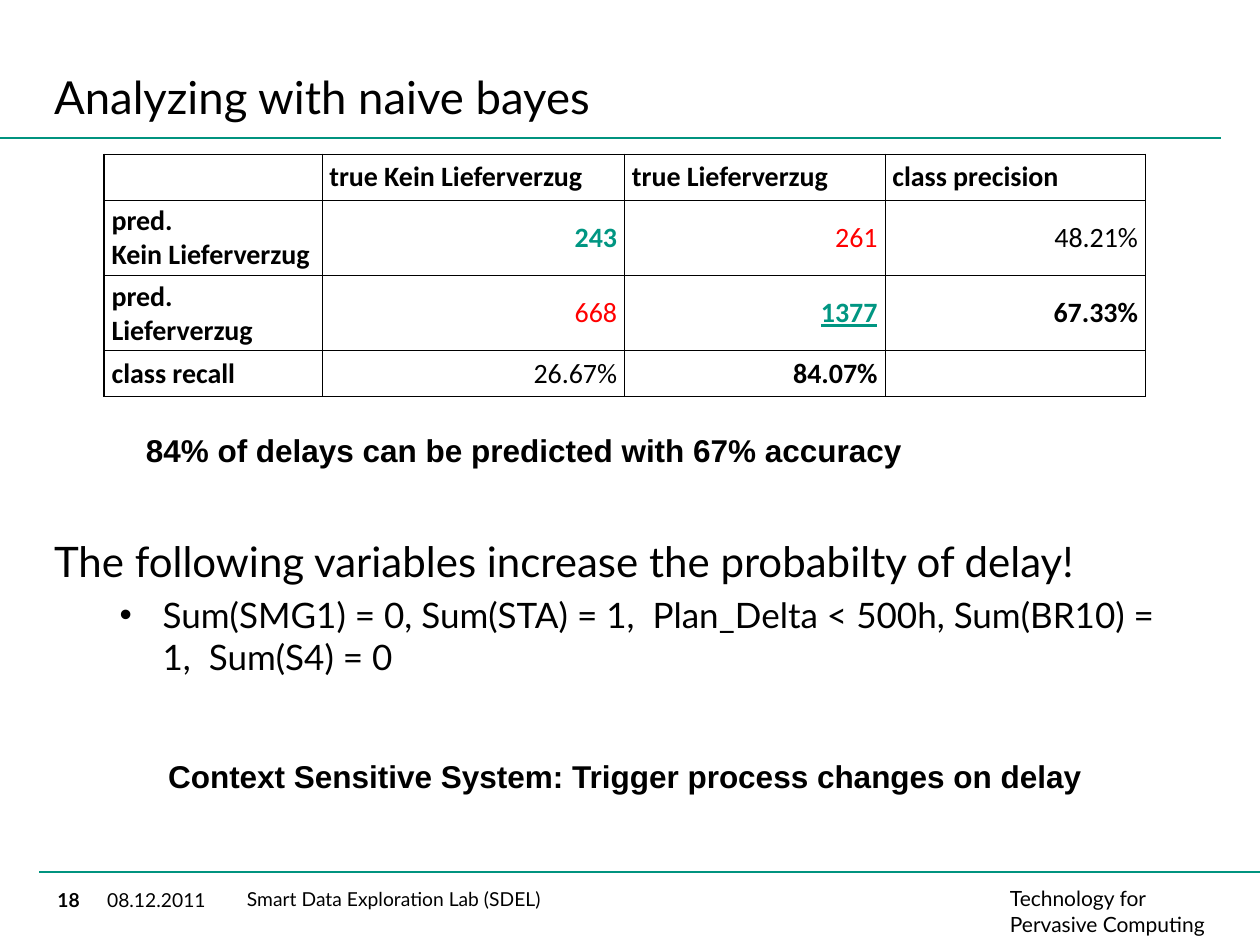
from lxml import etree
from pptx import Presentation
from pptx import util as u
from pptx.dml.color import RGBColor
from pptx.enum import shapes, text
from pptx.oxml.ns import qn

GREEN = "00937F"
HIT, MISS = "009682", "FF0000"


def rgb(value):
    return RGBColor.from_string(value)


def write(tf, words, new=False, size=11, font="Lato", color="000000", bold=False,
          underline=False, align=text.PP_ALIGN.LEFT, anchor=text.MSO_ANCHOR.TOP,
          insets=(0, 0, 0, 0), wrap=True, before=0):
    """Put words in the first paragraph, or in a new one, with their format."""
    tf.word_wrap = wrap
    tf.vertical_anchor = anchor
    tf.margin_left, tf.margin_top, tf.margin_right, tf.margin_bottom = map(u.Cm, insets)
    p = tf.add_paragraph() if new else tf.paragraphs[0]
    p.text = words
    p.alignment = align
    p.space_before = u.Pt(before)
    for r in p.runs:
        r.font.size, r.font.name = u.Pt(size), font
        r.font.bold, r.font.underline = bold, underline
        r.font.color.rgb = rgb(color)
    return p


prs = Presentation()
prs.slide_width, prs.slide_height = u.Cm(25.4), u.Cm(19.05)
s = prs.slides.add_slide(prs.slide_layouts[6])

# Title, footer and statements
pad = (0.25, 0.13, 0.25, 0.13)
claim = dict(size=18, font="Arial", bold=True, insets=pad, wrap=False)
for box, words, fmt in (
    ((1.09, 0.95, 19.2, 1.55), "Analyzing with naive bayes",
     dict(size=26, anchor=text.MSO_ANCHOR.BOTTOM)),
    ((1.16, 17.91, 0.91, 0.61), "18", dict(bold=True)),
    ((2.16, 17.91, 2.39, 0.99), "08.12.2011", {}),
    ((4.73, 17.75, 11.81, 0.99), "Smart Data Exploration Lab (SDEL)", dict(insets=pad)),
    ((20.36, 17.86, 4.04, 1.07), "Technology for Pervasive Computing", dict(size=12)),
    ((2.69, 8.55, 15.85, 1.02), "84% of delays can be predicted with 67% accuracy", claim),
    ((3.05, 15.14, 19.1, 1.02), "Context Sensitive System: Trigger process changes on delay",
     dict(claim, align=text.PP_ALIGN.CENTER)),
):
    sp = s.shapes.add_textbox(*map(u.Cm, box))
    write(sp.text_frame, words, **fmt)

# Rules below the title and above the footer
for x1, x2, y in ((0, 24.61, 2.78), (0.79, 25.4, 17.58)):
    sp = s.shapes.add_connector(shapes.MSO_CONNECTOR.STRAIGHT,
                                u.Cm(x1), u.Cm(y), u.Cm(x2), u.Cm(y))
    sp.line.color.rgb = rgb(GREEN)
    sp.line.width = u.Pt(1)
    etree.SubElement(sp._element.spPr, qn("a:effectLst"))

# Body text below the table
sp = s.shapes.add_textbox(u.Cm(1.09), u.Cm(10.8), u.Cm(22.61), u.Cm(6.12))
tf = sp.text_frame
write(tf, "The following variables increase the probabilty of delay!", size=24)
p = write(tf, "Sum(SMG1) = 0, Sum(STA) = 1,  Plan_Delta < 500h, Sum(BR10) = 1,  Sum(S4) = 0",
          new=True, size=20, before=4)
p.level = 1
pPr = p._p.get_or_add_pPr()
pPr.set("marL", str(u.Cm(2.19)))
pPr.set("indent", str(u.Cm(-0.87)))
etree.SubElement(pPr, qn("a:buFont"), typeface="Arial")
etree.SubElement(pPr, qn("a:buChar"), char="•")

# Confusion matrix: words and what differs from the plain cell
bold = dict(bold=True)
miss = dict(color=MISS)
hit = dict(color=HIT, bold=True)
rows = [
    [("", {}), ("true Kein Lieferverzug", bold), ("true Lieferverzug", bold),
     ("class precision", bold)],
    [("pred.\vKein Lieferverzug", bold), ("243", hit), ("261", miss), ("48.21%", {})],
    [("pred. Lieferverzug", bold), ("668", miss), ("1377", dict(hit, underline=True)),
     ("67.33%", bold)],
    [("class recall", bold), ("26.67%", {}), ("84.07%", bold), ("", {})],
]
widths, heights = (4.39, 6.1, 5.25, 5.25), (0.9, 1.52, 1.52, 0.9)
tbl = s.shapes.add_table(4, 4, u.Cm(2.1), u.Cm(3.11),
                         u.Cm(sum(widths)), u.Cm(sum(heights))).table
tbl.first_row = tbl.horz_banding = False
for col, width in zip(tbl.columns, widths):
    col.width = u.Cm(width)
for row, height in zip(tbl.rows, heights):
    row.height = u.Cm(height)

for i, row in enumerate(rows):
    for j, (words, fmt) in enumerate(row):
        cell = tbl.cell(i, j)
        align = text.PP_ALIGN.RIGHT if i and j else text.PP_ALIGN.LEFT
        write(cell.text_frame, words, size=16, font="Calibri", align=align, **fmt)
        cell.vertical_anchor = text.MSO_ANCHOR.MIDDLE
        cell.margin_left = cell.margin_right = u.Cm(0.15)
        cell.margin_top = cell.margin_bottom = u.Cm(0.08)
        # Borders are thicker on the outer edge
        tcPr = cell._tc.get_or_add_tcPr()
        for side, outer in (("L", j == 0), ("R", j == 3), ("T", i == 0), ("B", i == 3)):
            ln = etree.SubElement(tcPr, qn("a:ln" + side), w=str(u.Pt(1 if outer else 0.5)))
            fill = etree.SubElement(ln, qn("a:solidFill"))
            etree.SubElement(fill, qn("a:srgbClr"), val="000000")
        cell.fill.background()

prs.save("out.pptx")
